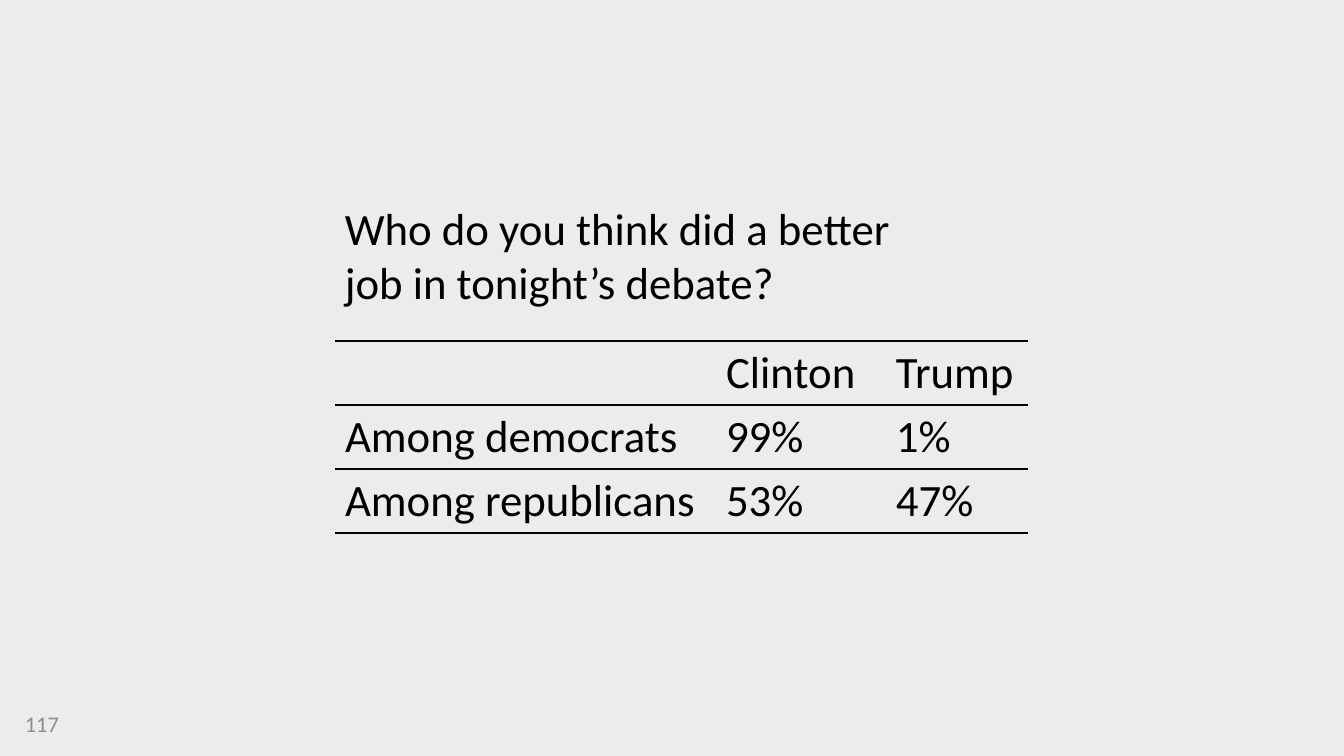
"""Build a slide with a debate poll question and its table of answers."""
import lxml.etree
import pptx
import pptx.dml.color
import pptx.enum.text
import pptx.oxml.ns
import pptx.util

PX = 12192000 / 1344
COLORS = {"background": "EDECED", "text": "000000", "number": "8C8C8C"}


def px(length):
    """Turn px into EMU."""
    return pptx.util.Emu(round(length * PX))


def write(text_frame, text, size, color):
    """Write one paragraph in the slide's font."""
    paragraph = text_frame.paragraphs[0]
    paragraph.text = text
    font_format = {"name": "Calibri", "size": pptx.util.Pt(size)}
    for font in [paragraph.font] + [run.font for run in paragraph.runs]:
        for name, value in font_format.items():
            setattr(font, name, value)
        font.color.rgb = pptx.dml.color.RGBColor.from_string(COLORS[color])


presentation = pptx.Presentation()
presentation.slide_width = px(1344)
presentation.slide_height = px(756)
slide = presentation.slides.add_slide(presentation.slide_layouts[6])
slide.background.fill.solid()
slide.background.fill.fore_color.rgb = pptx.dml.color.RGBColor.from_string(COLORS["background"])

anchors = pptx.enum.text.MSO_ANCHOR
text_boxes = [
    ((335, 196, 624, 119), "Who do you think did a better job in tonight’s debate?", 32, "text", anchors.TOP),
    ((15, 704, 71, 40), "117", 16, "number", anchors.MIDDLE),
]
for box, text, size, color, anchor in text_boxes:
    shape = slide.shapes.add_textbox(*map(px, box))
    shape.text_frame.word_wrap = True
    shape.text_frame.vertical_anchor = anchor
    write(shape.text_frame, text, size, color)

answers = [
    ("", "Clinton", "Trump"),
    ("Among democrats", "99%", "1%"),
    ("Among republicans", "53%", "47%"),
]
column_widths = [381, 170, 142]
row_height = 64
table = slide.shapes.add_table(
    len(answers), len(column_widths),
    px(335), px(341), px(sum(column_widths)), px(row_height * len(answers)),
).table
table.first_row = False
table.horz_banding = False
for column, width in zip(table.columns, column_widths):
    column.width = px(width)

for row, row_answers in zip(table.rows, answers):
    row.height = px(row_height)
    for cell, answer in zip(row.cells, row_answers):
        write(cell.text_frame, answer, 32, "text")
        cell.fill.background()
        properties = cell._tc.get_or_add_tcPr()
        for position, side in enumerate(["lnL", "lnR", "lnT", "lnB"]):
            border = lxml.etree.Element(pptx.oxml.ns.qn(f"a:{side}"), w=str(pptx.util.Pt(1)))
            if side in ("lnT", "lnB"):
                fill = lxml.etree.SubElement(border, pptx.oxml.ns.qn("a:solidFill"))
                lxml.etree.SubElement(fill, pptx.oxml.ns.qn("a:srgbClr"), val=COLORS["text"])
            else:
                lxml.etree.SubElement(border, pptx.oxml.ns.qn("a:noFill"))
            properties.insert(position, border)

presentation.save("out.pptx")
